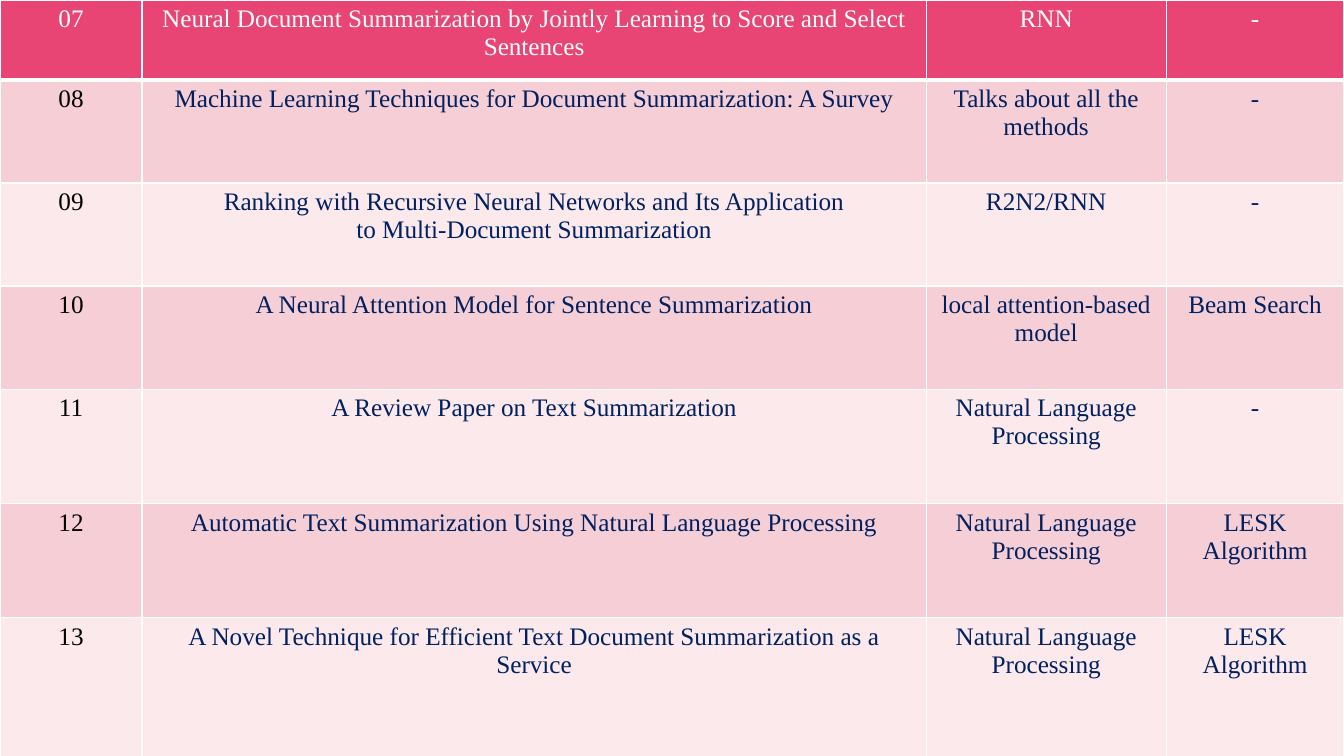
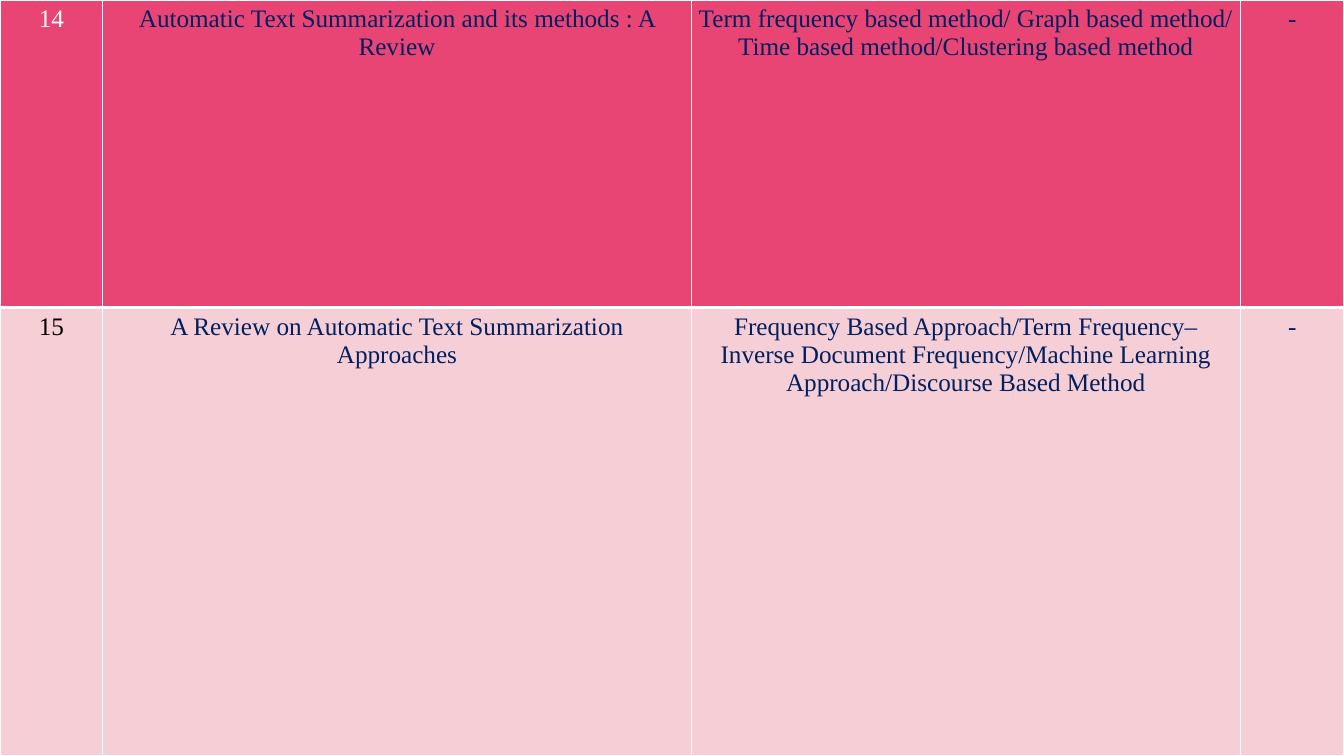
from lxml import etree
from pptx import Presentation
from pptx import util as u
from pptx.dml import color
from pptx.enum import text
from pptx.oxml import ns

COLORS = {
    "background": "000000",
    "border": "FFFFFF",
    "header": "E84574",
    "odd_row": "F6CFD6",
    "even_row": "FBE9EB",
    "header_number": "FFFFFF",
    "number": "000000",
    "body": "002060",
}
FONT = "Times New Roman"
WIDTH, HEIGHT = 33.87, 19.05


class Deck:
    def __init__(self):
        self.presentation = Presentation()
        self.presentation.slide_width = u.Cm(WIDTH)
        self.presentation.slide_height = u.Cm(HEIGHT)
        self.slide = None

    def rgb(self, name):
        return color.RGBColor.from_string(COLORS[name])

    def add_slide(self):
        blank = self.presentation.slide_layouts[6]
        self.slide = self.presentation.slides.add_slide(blank)
        fill = self.slide.background.fill
        fill.solid()
        fill.fore_color.rgb = self.rgb("background")

    def add_borders(self, cell, bottom):
        properties = cell._tc.get_or_add_tcPr()
        for side, points in (("L", 1), ("R", 1), ("T", 1), ("B", bottom)):
            line = etree.SubElement(properties, ns.qn(f"a:ln{side}"), w=str(u.Pt(points)))
            fill = etree.SubElement(line, ns.qn("a:solidFill"))
            etree.SubElement(fill, ns.qn("a:srgbClr"), val=COLORS["border"])

    def style_cell(self, cell, content, fill_name, font_name, bottom):
        self.add_borders(cell, bottom)
        cell.fill.solid()
        cell.fill.fore_color.rgb = self.rgb(fill_name)
        cell.margin_left = cell.margin_right = u.Cm(0.18)
        cell.margin_top = cell.margin_bottom = u.Cm(0.13)
        cell.text_frame.text = content
        for paragraph in cell.text_frame.paragraphs:
            paragraph.alignment = text.PP_ALIGN.CENTER
            for run in paragraph.runs:
                run.font.name = FONT
                run.font.size = u.Pt(18)
                run.font.bold = False
                run.font.color.rgb = self.rgb(font_name)

    def add_paper_table(self, papers, widths, heights, header_text):
        frame = self.slide.shapes.add_table(
            len(heights), len(widths), 0, 0, u.Cm(sum(widths)), u.Cm(sum(heights)))
        table = frame.table
        table.first_row = table.horz_banding = False
        for column, width in zip(table.columns, widths):
            column.width = u.Cm(width)
        for index, (paper, height) in enumerate(zip(papers, heights)):
            table.rows[index].height = u.Cm(height)
            is_header = index == 0
            fill_name = "header" if is_header else ("even_row", "odd_row")[index % 2]
            number_text = "header_number" if is_header else "number"
            body_text = header_text if is_header else "body"
            for position, content in enumerate(paper):
                font_name = body_text if position else number_text
                self.style_cell(table.cell(index, position), content,
                                fill_name, font_name, 3 if is_header else 1)

    def save(self):
        self.presentation.save("out.pptx")


FIRST_PAPERS = [
    ("07", "Neural Document Summarization by Jointly Learning to Score and Select Sentences",
     "RNN", "-"),
    ("08", "Machine Learning Techniques for Document Summarization: A Survey",
     "Talks about all the methods", "-"),
    ("09", "Ranking with Recursive Neural Networks and Its Application\n"
     "to Multi-Document Summarization", "R2N2/RNN", "-"),
    ("10", "A Neural Attention Model for Sentence Summarization",
     "local attention-based model", "Beam Search"),
    ("11", "A Review Paper on Text Summarization", "Natural Language Processing", "-"),
    ("12", "Automatic Text Summarization Using Natural Language Processing",
     "Natural Language Processing", "LESK Algorithm"),
    ("13", "A Novel Technique for Efficient Text Document Summarization as a Service",
     "Natural Language Processing", "LESK Algorithm"),
]
LAST_PAPERS = [
    ("14", "Automatic Text Summarization and its methods : A Review",
     "Term frequency based method/ Graph based method/ Time based method/"
     "Clustering based method", "-"),
    ("15", "A Review on Automatic Text Summarization Approaches",
     "Frequency Based Approach/Term Frequency–Inverse Document Frequency/"
     "Machine Learning Approach/Discourse Based Method", "-"),
]


def main():
    deck = Deck()
    deck.add_slide()
    deck.add_paper_table(FIRST_PAPERS, [3.58, 19.76, 6.05, 4.48],
                         [2.01] + [2.6] * 3 + [2.88] * 2 + [3.74], "header_number")
    deck.add_slide()
    deck.add_paper_table(LAST_PAPERS, [2.59, 14.83, 13.84, 2.61], [7.75, 11.3], "body")
    deck.save()


if __name__ == "__main__":
    main()
